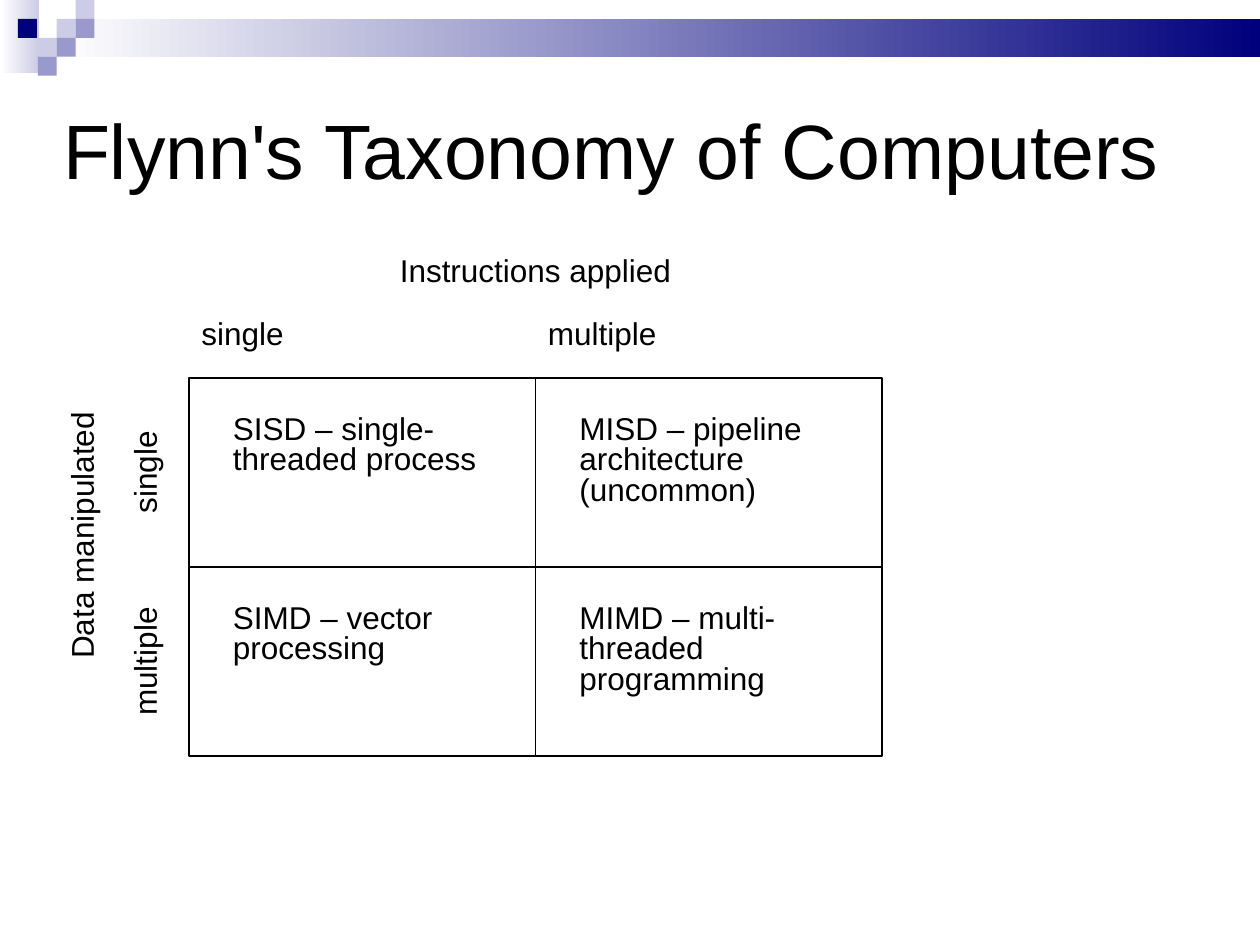
from pptx import Presentation
from pptx.dml.color import RGBColor
from pptx.enum.shapes import MSO_SHAPE as Shape
from pptx.enum.text import MSO_ANCHOR as Anchor, MSO_AUTO_SIZE as AutoSize, PP_ALIGN as Align
from pptx.util import Inches, Pt

BLACK = RGBColor(0x00, 0x00, 0x00)
WHITE = RGBColor(0xFF, 0xFF, 0xFF)
NAVY = RGBColor(0x00, 0x00, 0x7D)
LILAC = RGBColor(0x99, 0x99, 0xCC)
PALE = RGBColor(0xCC, 0xCC, 0xE6)


def write(frame, text, size=18, align=Align.LEFT, anchor=Anchor.TOP, insets=(0.1, 0.05, 0.1, 0.05)):
    frame.word_wrap = True
    frame.auto_size = AutoSize.NONE
    frame.vertical_anchor = anchor
    frame.margin_left, frame.margin_top, frame.margin_right, frame.margin_bottom = map(Inches, insets)
    frame.text = text
    for paragraph in frame.paragraphs:
        paragraph.alignment = align
        paragraph.line_spacing = 0.81
        paragraph.font.size = Pt(size)
        paragraph.font.name = "Arial"
        paragraph.font.color.rgb = BLACK


class TaxonomySlide:
    def __init__(self, deck):
        self.slide = deck.slides.add_slide(deck.slide_layouts[5])
        self.shapes = self.slide.shapes

    def title(self, text, *box):
        heading = self.shapes.title
        heading.left, heading.top, heading.width, heading.height = map(Inches, box)
        write(heading.text_frame, text, size=44, anchor=Anchor.MIDDLE, insets=(0, 0, 0, 0))

    def rectangle(self, *box):
        rectangle = self.shapes.add_shape(Shape.RECTANGLE, *map(Inches, box))
        rectangle.shadow.inherit = False
        return rectangle

    def block(self, color, *box):
        block = self.rectangle(*box)
        block.fill.solid()
        block.fill.fore_color.rgb = color
        block.line.fill.background()

    def fade(self, color, *box):
        band = self.rectangle(*box)
        band.fill.gradient()
        band.fill.gradient_angle = 180
        for stop, stop_color in zip(band.fill.gradient_stops, (color, WHITE)):
            stop.color.rgb = stop_color
        band.line.fill.background()

    def cell(self, *box):
        cell = self.rectangle(*box)
        cell.fill.background()
        cell.line.color.rgb = BLACK
        cell.line.width = Pt(0.75)

    def label(self, text, *box, **style):
        label = self.shapes.add_textbox(*map(Inches, box))
        write(label.text_frame, text, **style)
        return label

    def upward_label(self, text, *box, bottom=0.1):
        label = self.label(text, *box, align=Align.CENTER, insets=(0.05, 0.1, 0.05, bottom))
        label.text_frame._txBody.bodyPr.set("vert", "vert270")


def main():
    deck = Presentation()
    deck.slide_width, deck.slide_height = Inches(10), Inches(7.5)
    page = TaxonomySlide(deck)

    page.fade(PALE, 0, 0, 0.31, 0.58)
    page.fade(NAVY, 0.45, 0.15, 9.55, 0.3)
    tile = 0.15
    for color, column, row in (
        (PALE, 3, 1), (PALE, 4, 0), (LILAC, 4, 1), (PALE, 2, 2),
        (NAVY, 0.95, 1), (LILAC, 3, 2), (LILAC, 2, 3),
    ):
        page.block(color, column * tile, row * tile, tile, tile)

    page.title("Flynn's Taxonomy of Computers", 0.5, 0.5, 9, 1.5)

    left, top, width, height = 1.5, 3, 2.75, 1.5
    page.label("Instructions applied", left, 2, 2 * width, 0.34, align=Align.CENTER)
    page.upward_label("Data manipulated", 0.5, top, 0.44, 2 * height, bottom=0.6)
    for index, amount in enumerate(("single", "multiple")):
        page.label(amount, left + index * width, 2.5, width, 0.34)
        page.upward_label(amount, 1, top + index * height, 0.44, height)

    classes = (
        ("SISD – single-threaded process", "MISD – pipeline architecture\n(uncommon)"),
        ("SIMD – vector processing", "MIMD – multi-threaded programming"),
    )
    for row, descriptions in enumerate(classes):
        for column, description in enumerate(descriptions):
            x, y = left + column * width, top + row * height
            page.cell(x, y, width, height)
            page.label(description, x + 0.25, y + 0.25, width - 0.5, (0.58, 0.83)[column])

    deck.save("out.pptx")


if __name__ == "__main__":
    main()
